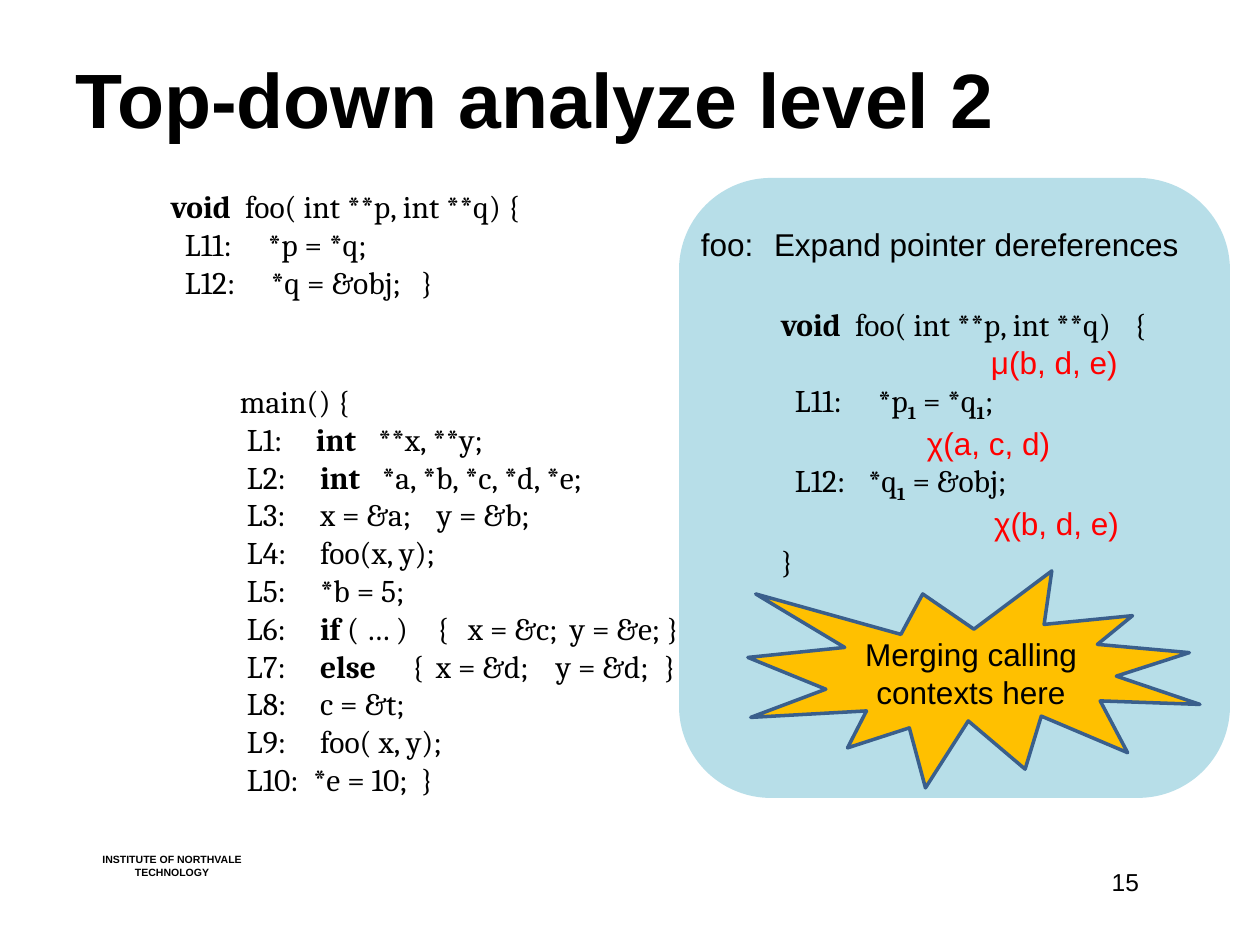
from lxml import etree
from pptx import Presentation
from pptx.dml.color import RGBColor
from pptx.enum.shapes import MSO_SHAPE
from pptx.enum.text import MSO_ANCHOR, PP_ALIGN
from pptx.oxml.ns import qn
from pptx.util import Emu, Pt

ROUNDED, BURST = MSO_SHAPE.ROUNDED_RECTANGLE, MSO_SHAPE.EXPLOSION1
TOP, MIDDLE = MSO_ANCHOR.TOP, MSO_ANCHOR.MIDDLE
LEFT, CENTER, RIGHT = PP_ALIGN.LEFT, PP_ALIGN.CENTER, PP_ALIGN.RIGHT
SCALE = 914400 // 126
BLACK, RED = "000000", "FF0000"


def px(length):
    """Turn picture pixels into EMU."""
    return Emu(length * SCALE)


def color(value):
    """Turn a hex string into a colour."""
    return RGBColor.from_string(value)


class SlideBuilder:
    """Holds the style and the current slide."""

    sans, serif, size = "Arial", "Cambria", 18

    def __init__(self, slide):
        """Start on an empty slide."""
        self.slide = slide

    def style(self, paragraph, size=None, font=None, ink=BLACK, bold=False, align=LEFT):
        """Set the look shared by all runs of a paragraph."""
        paragraph.alignment = align
        paragraph.font.name = font or self.sans
        paragraph.font.size = Pt(size or self.size)
        paragraph.font.bold = bold
        paragraph.font.color.rgb = color(ink)

    def frame(self, left, top, width, height, anchor=TOP):
        """Add a text box without margins and return its text frame."""
        frame = self.slide.shapes.add_textbox(
            px(left), px(top), px(width), px(height)).text_frame
        frame.word_wrap = True
        frame.vertical_anchor = anchor
        frame.margin_left = frame.margin_right = 0
        frame.margin_top = frame.margin_bottom = 0
        return frame

    def text(self, box, lines, anchor=TOP, **style):
        """Add a text box with one paragraph for each line."""
        frame = self.frame(*box, anchor=anchor)
        frame.text = "\n".join(lines)
        for paragraph in frame.paragraphs:
            self.style(paragraph, **style)

    def shape(self, kind, box, fill, line=None, text=None):
        """Add a filled preset shape, with an outline and text if given."""
        shape = self.slide.shapes.add_shape(kind, *map(px, box))
        shape.shadow.inherit = False
        shape.fill.solid()
        shape.fill.fore_color.rgb = color(fill)
        if line:
            shape.line.color.rgb = color(line)
            shape.line.width = Pt(2)
        else:
            shape.line.fill.background()
        if text:
            shape.text_frame.text = text
            shape.text_frame.word_wrap = True
            shape.text_frame.vertical_anchor = MIDDLE
            self.style(shape.text_frame.paragraphs[0], align=CENTER)

    def place(self, paragraph, stops):
        """Indent a single cell, or set a tab stop for each cell of a line."""
        properties = paragraph._p.get_or_add_pPr()
        if len(stops) == 1:
            properties.set("marL", str(px(stops[0])))
            properties.set("indent", "0")
            return
        tabs = etree.SubElement(properties, qn("a:tabLst"))
        for stop in filter(None, stops):
            etree.SubElement(tabs, qn("a:tab"), pos=str(px(stop)), algn="l")

    def code(self, box, lines, font=None):
        """Add lines of (offset, text) cells; |bars| mark bold, bold digits are subscripts."""
        frame = self.frame(*box)
        for index, cells in enumerate(lines):
            paragraph = frame.add_paragraph() if index else frame.paragraphs[0]
            stops = [offset for offset, _ in cells]
            self.place(paragraph, stops)
            content = "\t".join(words for _, words in cells)
            if len(stops) > 1 and stops[0]:
                content = "\t" + content
            greek = content[0] in "μχ"
            self.style(paragraph, font=self.sans if greek else font or self.serif,
                       ink=RED if greek else BLACK)
            for part, words in enumerate(content.split("|")):
                if not words:
                    continue
                run = paragraph.add_run()
                run.text = words
                if part % 2:
                    run.font.bold = True
                    if words.isdigit():
                        run.font._element.set("baseline", "-25000")


def main():
    """Build the slide and save it."""
    presentation = Presentation()
    presentation.slide_width, presentation.slide_height = px(1260), px(945)
    page = SlideBuilder(presentation.slides.add_slide(presentation.slide_layouts[6]))

    page.text((88, 853, 168, 30), ["INSTITUTE OF NORTHVALE", "TECHNOLOGY"],
              size=6, bold=True, align=CENTER)
    page.shape(ROUNDED, (679, 178, 551, 620), "B7DEE8")
    page.text((76, 38, 1109, 120), ["Top-down analyze level 2"],
              anchor=MIDDLE, size=44, bold=True)

    page.code((781, 305, 400, 286), [
        [(0, "|void|"), (74, "foo( int **p, int **q)"), (353, "{")],
        [(210, "μ(b, d, e)")],
        [(14, "L11:"), (97, "*p|1| = *q|1|;")],
        [(146, "χ(a, c, d)")],
        [(14, "L12:"), (87, "*q|1| = &obj;")],
        [(213, "χ(b, d, e)")],
        [(0, "}")],
    ])
    page.code((701, 225, 527, 46),
              [[(0, "foo:"), (73, "Expand pointer dereferences")]], font=page.sans)
    page.text((903, 867, 236, 40), ["15"], size=14, align=RIGHT)
    page.shape(BURST, (748, 571, 452, 217), "FFC000", "3A5F8C",
               "Merging calling contexts here")

    page.code((171, 187, 400, 137), [
        [(0, "|void|"), (74, "foo( int **p, int **q) {")],
        [(14, "L11:"), (97, "*p = *q;")],
        [(14, "L12:"), (100, "*q = &obj;"), (250, "}")],
    ])

    statements = [
        [(76, "|int|"), (138, "**x, **y;")],
        [(80, "|int|"), (142, "*a, *b, *c, *d, *e;")],
        [(80, "x = &a;"), (197, "y = &b;")],
        [(80, "foo(x, y);")],
        [(80, "*b = 5;")],
        [(80, "|if| ( … )"), (197, "{"), (228, "x = &c;"), (330, "y = &e; }")],
        [(80, "|else|"), (172, "{"), (196, "x = &d;"), (316, "y = &d;"), (424, "}")],
        [(80, "c = &t;")],
        [(80, "foo( x, y);")],
        [(73, "*e = 10;"), (181, "}")],
    ]
    page.code((240, 382, 460, 434), [[(0, "main() {")]] + [
        [(7, f"L{number}:")] + cells for number, cells in enumerate(statements, 1)])
    presentation.save("out.pptx")


main()
